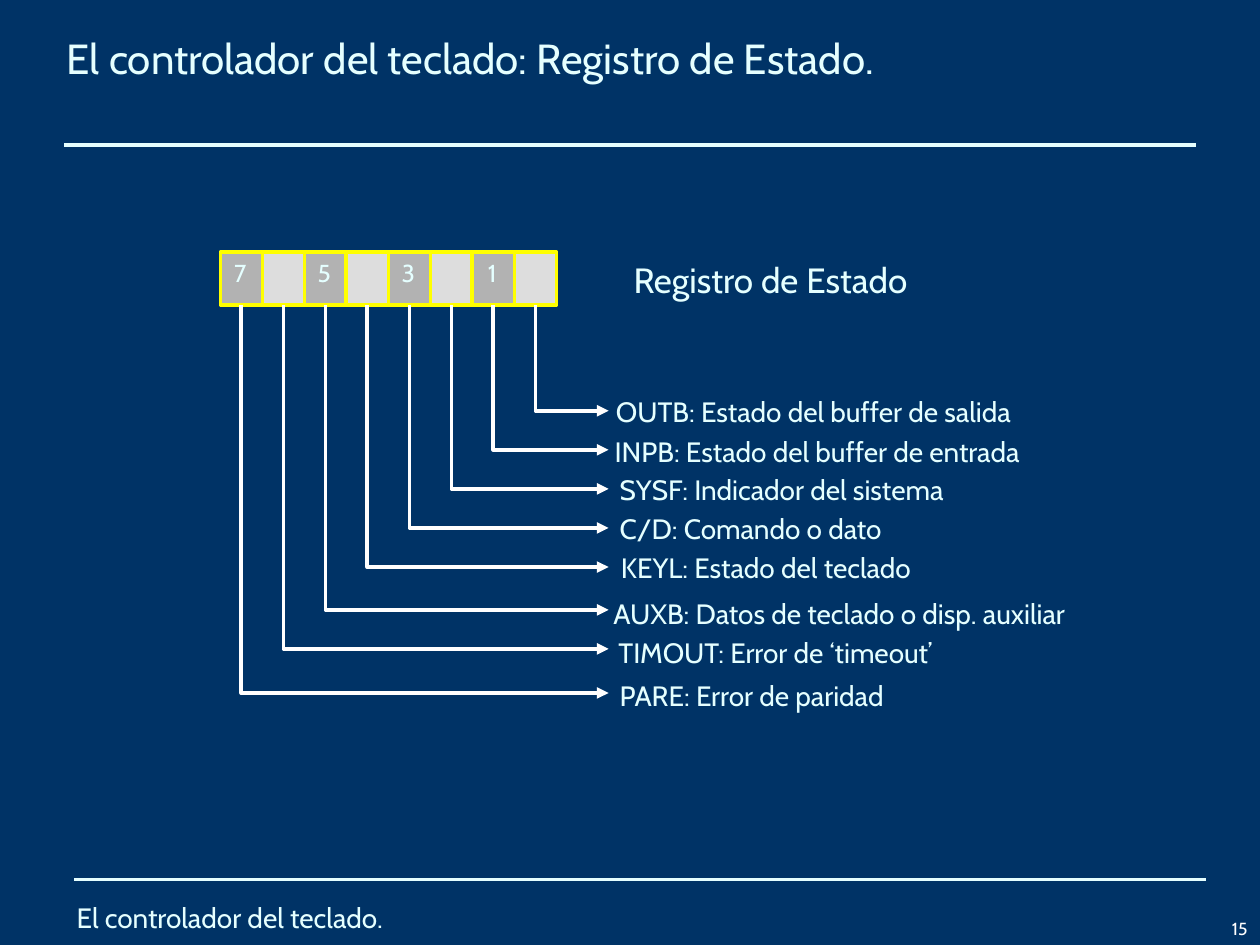
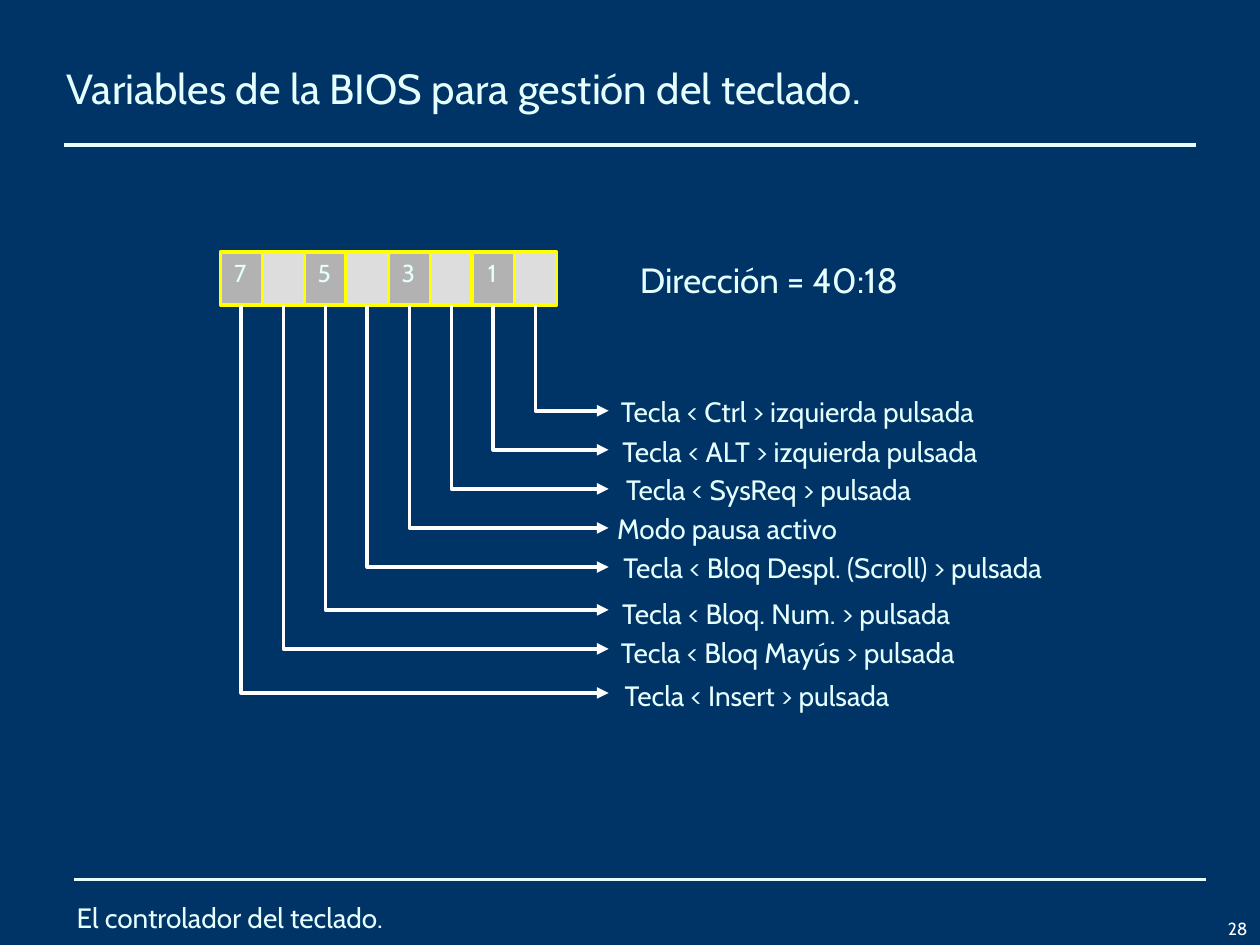
from lxml import etree
from pptx import Presentation
from pptx.dml.color import RGBColor
from pptx.enum.shapes import MSO_CONNECTOR, MSO_SHAPE
from pptx.enum.text import MSO_ANCHOR, PP_ALIGN
from pptx.oxml.ns import qn
from pptx.util import Inches, Pt

RECTANGLE = MSO_SHAPE.RECTANGLE
STRAIGHT = MSO_CONNECTOR.STRAIGHT
TOP, MIDDLE, BOTTOM = MSO_ANCHOR.TOP, MSO_ANCHOR.MIDDLE, MSO_ANCHOR.BOTTOM
LEFT, CENTER, RIGHT = PP_ALIGN.LEFT, PP_ALIGN.CENTER, PP_ALIGN.RIGHT

FONT = "Cabin"
NAVY, PALE, WHITE, YELLOW = "003366", "E5FFFF", "FFFFFF", "FFFF00"
LIGHT_GREY, GREY = "DDDDDD", "B2B2B2"
FOOTER = "El controlador del teclado."
RULES = [(0.51, 1.15), (0.59, 6.98)]
RULE_LENGTH = 8.98

BITS = 8
REGISTER_LEFT, REGISTER_TOP = 1.75, 2
BIT_WIDTH, BIT_HEIGHT = 1 / 3, 0.42
ARROW_END = 4.83
ARROW_ROWS = [3.26, 3.57, 3.88, 4.19, 4.5, 4.84, 5.15, 5.5]
LABEL_TOPS = [3.08, 3.4, 3.7, 4.01, 4.32, 4.68, 4.99, 5.33]

SLIDES = [
    {
        "title": (0.21, 7.95, "El controlador del teclado: Registro de Estado."),
        "heading": (4.93, 2.64, "Registro de Estado"),
        "number": "15",
        "labels": [
            (4.79, 3.68, "OUTB: Estado del buffer de salida"),
            (4.78, 3.81, "INPB: Estado del buffer de entrada"),
            (4.82, 3.04, "SYSF: Indicador del sistema"),
            (4.82, 2.44, "C/D: Comando o dato"),
            (4.83, 2.72, "KEYL: Estado del teclado"),
            (4.77, 4.21, "AUXB: Datos de teclado o disp. auxiliar"),
            (4.81, 2.98, "TIMOUT: Error de ‘timeout’"),
            (4.82, 2.57, "PARE: Error de paridad"),
        ],
    },
    {
        "title": (0.45, 7.33, "Variables de la BIOS para gestión del teclado."),
        "heading": (4.98, 2.44, "Dirección = 40:18"),
        "number": "28",
        "labels": [
            (4.83, 3.44, "Tecla < Ctrl > izquierda pulsada"),
            (4.84, 3.45, "Tecla < ALT > izquierda pulsada"),
            (4.87, 2.78, "Tecla < SysReq > pulsada"),
            (4.8, 2.16, "Modo pausa activo"),
            (4.85, 3.97, "Tecla < Bloq Despl. (Scroll) > pulsada"),
            (4.84, 3.2, "Tecla < Bloq. Num. > pulsada"),
            (4.83, 3.25, "Tecla < Bloq Mayús > pulsada"),
            (4.86, 2.65, "Tecla < Insert > pulsada"),
        ],
    },
]


def color(value):
    return RGBColor.from_string(value)


def set_line(shape, value):
    shape.line.color.rgb = color(value)
    shape.line.width = Pt(2.25)


def write(shape, text, size, anchor=MIDDLE, align=LEFT, ink=PALE):
    frame = shape.text_frame
    frame.text = text
    frame.word_wrap = True
    frame.vertical_anchor = anchor
    para = frame.paragraphs[0]
    para.alignment = align
    font = para.runs[0].font
    font.name, font.size = FONT, Pt(size)
    font.color.rgb = color(ink)


def add_text(page, left, top, width, height, text, size, **style):
    box = page.shapes.add_textbox(Inches(left), Inches(top), Inches(width), Inches(height))
    write(box, text, size, **style)


def add_frame(page, title, number):
    for left, top in RULES:
        rule = page.shapes.add_connector(
            STRAIGHT, Inches(left), Inches(top), Inches(left + RULE_LENGTH), Inches(top))
        set_line(rule, PALE)
        etree.SubElement(rule._element.spPr, qn("a:effectLst"))
    top, width, text = title
    add_text(page, 0.43, top, width, 0.5, text, 24, anchor=TOP)
    add_text(page, 0.51, 7.06, 9, 0.44, FOOTER, 16)
    add_text(page, 9.44, 7.13, 0.56, 0.37, number, 10, anchor=BOTTOM, align=RIGHT, ink=WHITE)


def add_bit(page, bit, left):
    is_odd = bit % 2 == 1
    cell = page.shapes.add_shape(
        RECTANGLE, Inches(left), Inches(REGISTER_TOP), Inches(BIT_WIDTH), Inches(BIT_HEIGHT))
    cell.shadow.inherit = False
    cell.fill.solid()
    cell.fill.fore_color.rgb = color(GREY if is_odd else LIGHT_GREY)
    set_line(cell, YELLOW)
    if is_odd:
        write(cell, str(bit), 14, anchor=TOP, align=CENTER)
        cell.text_frame.margin_left, cell.text_frame.margin_right = 0, Inches(0.02)


def add_arrow(page, start, row):
    outline = page.shapes.build_freeform(Inches(start), Inches(REGISTER_TOP + BIT_HEIGHT))
    corners = [(Inches(start), Inches(row)), (Inches(ARROW_END), Inches(row))]
    outline.add_line_segments(corners, close=False)
    arrow = outline.convert_to_shape()
    arrow.shadow.inherit = False
    arrow.fill.background()
    set_line(arrow, WHITE)
    etree.SubElement(arrow.line._get_or_add_ln(), qn("a:tailEnd"), type="triangle")


def add_register(page, heading, labels):
    cell_lefts = [REGISTER_LEFT + (BITS - 1 - bit) * BIT_WIDTH for bit in range(BITS)]
    for bit in reversed(range(BITS)):
        add_bit(page, bit, cell_lefts[bit])
    for cell_left, row, top, label in zip(cell_lefts, ARROW_ROWS, LABEL_TOPS, labels):
        left, width, text = label
        add_arrow(page, cell_left + BIT_WIDTH / 2, row)
        add_text(page, left, top, width, 0.37, text, 16)
    left, width, text = heading
    add_text(page, left, REGISTER_TOP, width, 0.44, text, 20)


def main():
    deck = Presentation()
    deck.slide_width, deck.slide_height = Inches(10), Inches(7.5)
    for content in SLIDES:
        page = deck.slides.add_slide(deck.slide_layouts[6])
        page.background.fill.solid()
        page.background.fill.fore_color.rgb = color(NAVY)
        add_frame(page, content["title"], content["number"])
        add_register(page, content["heading"], content["labels"])
    deck.save("out.pptx")


if __name__ == "__main__":
    main()
